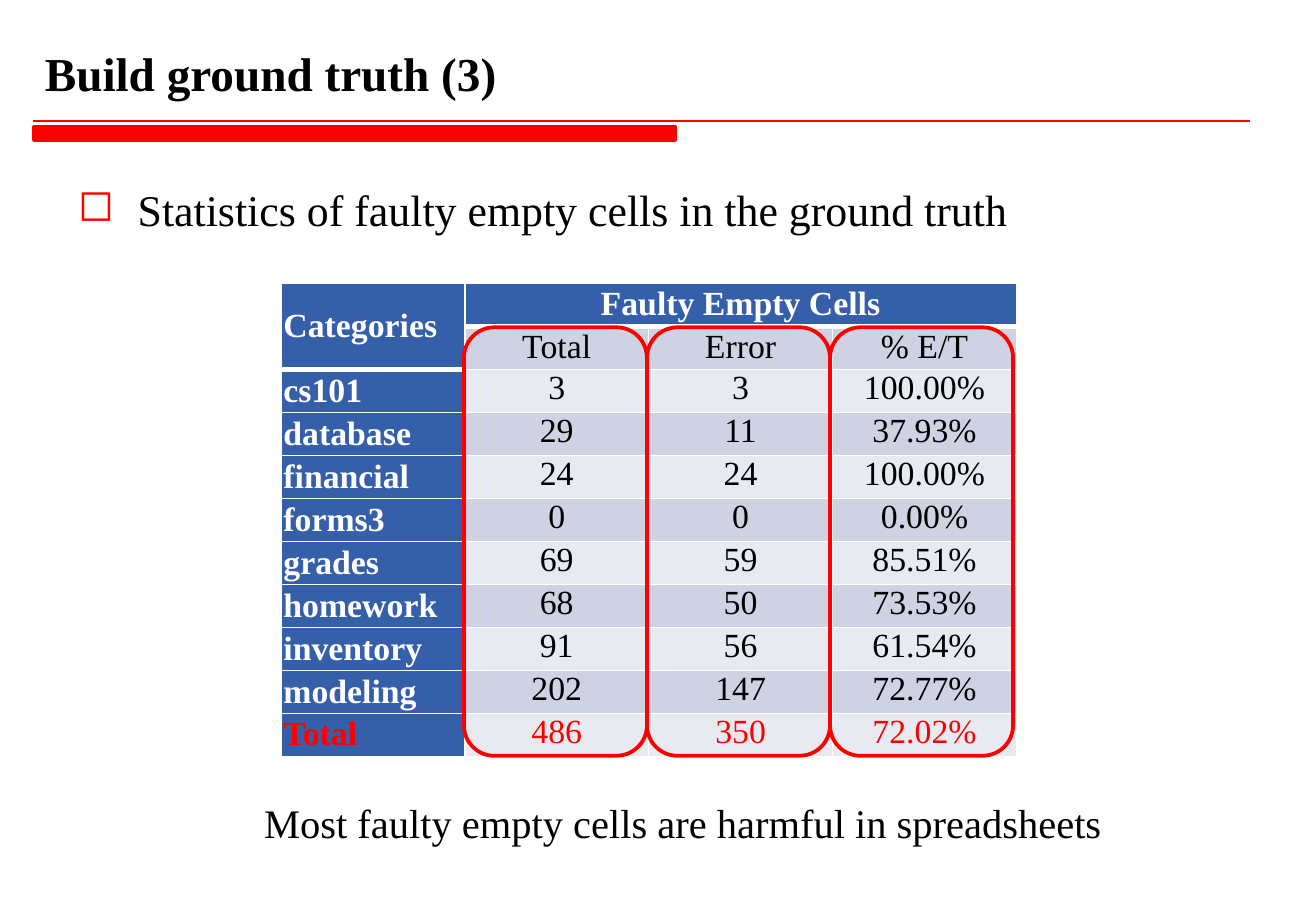
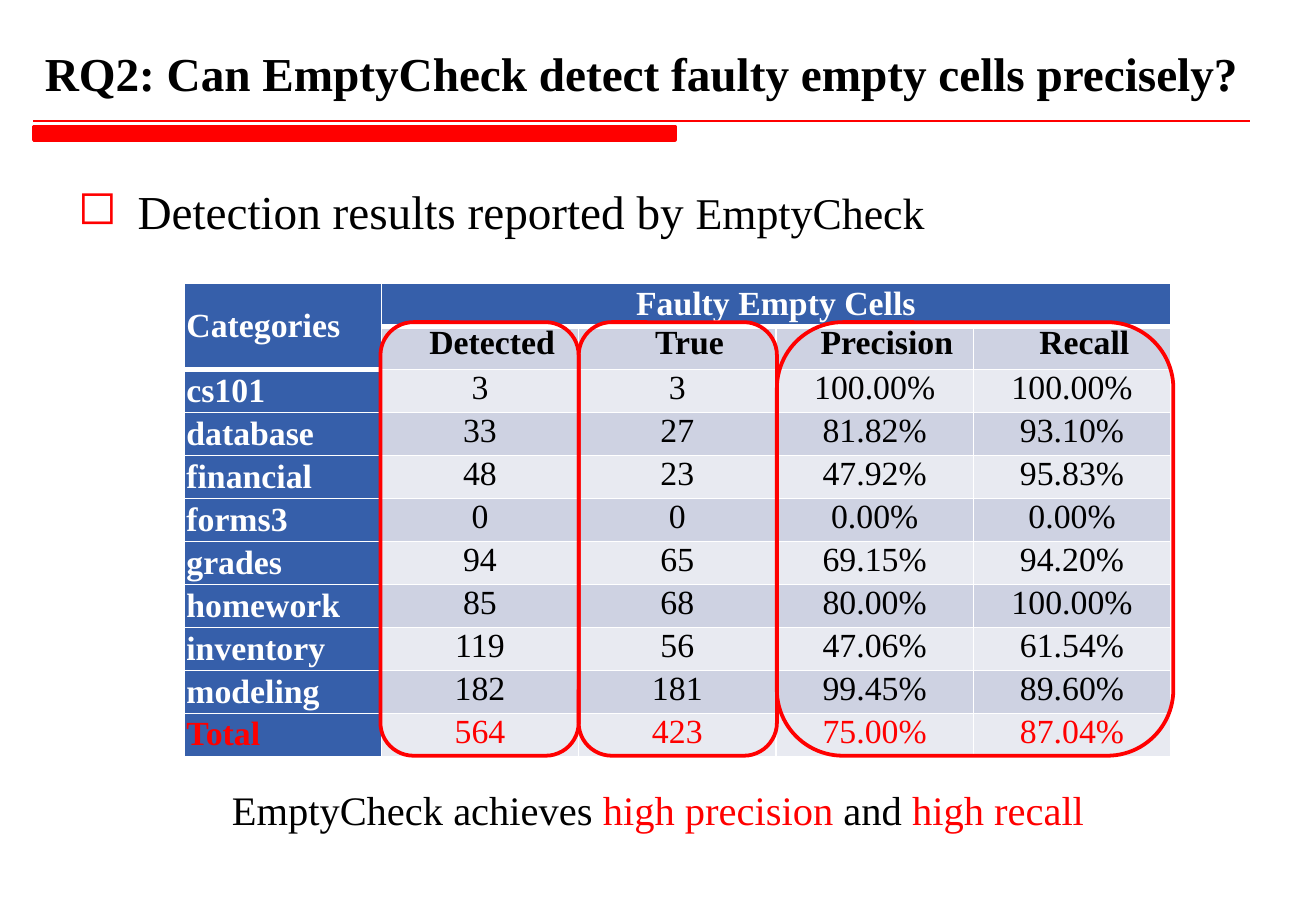
from dataclasses import dataclass

from lxml import etree
from pptx import Presentation
from pptx import util as u
from pptx.dml.color import RGBColor
from pptx.enum import shapes, text
from pptx.oxml import ns

Pt = u.Pt


@dataclass(frozen=True)
class Theme:
    font: str = "Times New Roman"
    ink: str = "000000"
    white: str = "FFFFFF"
    accent: str = "FF0000"
    header: str = "365FAA"
    band_dark: str = "CED2E2"
    band_light: str = "E8EAF1"
    title_size: float = 28
    body_size: float = 26
    caption_size: float = 24
    table_size: float = 20


def apply_formats(target, formats):
    for name, value in formats.items():
        setattr(target, name, value)


def add_xml(parent, tag, **attributes):
    return etree.SubElement(parent, ns.qn(tag), attributes)


class Deck:
    """Holds the theme, the presentation and the current slide."""

    def __init__(self, theme, width, height):
        self.theme = theme
        self.prs = Presentation()
        apply_formats(self.prs, {"slide_width": Pt(width), "slide_height": Pt(height)})
        self.slide = None

    def new_slide(self, title):
        self.slide = self.prs.slides.add_slide(self.prs.slide_layouts[6])
        self.title_rule()
        self.text_box((19.5, 21, 721.5, 41), [(title, {"bold": True})], self.theme.title_size,
                      {"vertical_anchor": text.MSO_ANCHOR.BOTTOM, "margin_bottom": Pt(2)})

    def title_rule(self):
        red = RGBColor.from_string(self.theme.accent)
        rule = self.slide.shapes.add_connector(
            shapes.MSO_CONNECTOR.STRAIGHT, Pt(19.5), Pt(71.5), Pt(741), Pt(71.5))
        rule.line.color.rgb = red
        rule.line.width = Pt(1.25)
        add_xml(rule._element.spPr, "a:effectLst")
        bar = self.outline(shapes.MSO_SHAPE.RECTANGLE, (20, 75, 380, 8), 2)
        bar.fill.solid()
        bar.fill.fore_color.rgb = red

    def outline(self, preset, box, weight):
        shape = self.slide.shapes.add_shape(preset, *map(Pt, box))
        shape.shadow.inherit = False
        shape.fill.background()
        shape.line.color.rgb = RGBColor.from_string(self.theme.accent)
        shape.line.width = Pt(weight)
        return shape

    def add_runs(self, paragraph, runs, size):
        """Add runs given as (wording, format values that differ)."""
        for wording, changes in runs:
            run = paragraph.add_run()
            run.text = wording
            formats = {"name": self.theme.font, "size": Pt(size), "bold": False, **changes}
            color = formats.pop("color", self.theme.ink)
            apply_formats(run.font, formats)
            run.font.color.rgb = RGBColor.from_string(color)

    def text_box(self, box, runs, size, frame_formats):
        frame = self.slide.shapes.add_textbox(*map(Pt, box)).text_frame
        apply_formats(frame, {"word_wrap": True, **frame_formats})
        self.add_runs(frame.paragraphs[0], runs, size)
        return frame.paragraphs[0]

    def bullet(self, runs):
        paragraph = self.text_box((39, 101, 702, 347), runs, self.theme.body_size,
                                  {"margin_top": Pt(7)})
        properties = paragraph._p.get_or_add_pPr()
        hanging = Pt(35.5)
        properties.set("marL", str(hanging))
        properties.set("indent", str(-hanging))
        add_xml(add_xml(properties, "a:buClr"), "a:srgbClr", val=self.theme.accent)
        add_xml(properties, "a:buChar", char="◻")

    def caption(self, box, runs):
        paragraph = self.text_box(box, runs, self.theme.caption_size,
                                  {"auto_size": text.MSO_AUTO_SIZE.SHAPE_TO_FIT_TEXT})
        paragraph.alignment = text.PP_ALIGN.CENTER

    def column_rings(self, left, top, step, height, spans):
        """Ring groups of columns; spans counts the columns in each group."""
        for span in spans:
            self.outline(shapes.MSO_SHAPE.ROUNDED_RECTANGLE,
                         (left, top, span * step, height), 2.25)
            left += span * step

    def borders(self, cell, top, bottom):
        properties = cell._tc.get_or_add_tcPr()
        sides = {"a:lnL": 1, "a:lnR": 1, "a:lnT": top, "a:lnB": bottom}
        for place, (tag, weight) in enumerate(sides.items()):
            line = etree.Element(ns.qn(tag), w=str(Pt(weight)))
            add_xml(add_xml(line, "a:solidFill"), "a:srgbClr", val=self.theme.white)
            properties.insert(place, line)

    def cell(self, cell, wording, fill, font, frame, centred=True, spacing=1.0):
        apply_formats(cell, {"margin_left": Pt(1.5), "margin_right": Pt(1.5),
                             "margin_top": 0, "margin_bottom": 0, **frame})
        cell.fill.solid()
        cell.fill.fore_color.rgb = RGBColor.from_string(fill)
        paragraph = cell.text_frame.paragraphs[0]
        apply_formats(paragraph, {
            "alignment": text.PP_ALIGN.CENTER if centred else text.PP_ALIGN.LEFT,
            "line_spacing": spacing})
        if wording:
            self.add_runs(paragraph, [(wording, font)], self.theme.table_size)

    def results_table(self, left, column_width, headings, values, heading_font, heading_frame):
        theme = self.theme
        middle = {"vertical_anchor": text.MSO_ANCHOR.MIDDLE}
        grid = [("Categories", "Faulty Empty Cells") + ("",) * (len(headings) - 1),
                ("",) + headings]
        grid += [(name,) + row for name, row in zip(CATEGORIES, values)]
        row_count, column_count = len(grid), len(grid[0])
        row_height = 25.5
        table = self.slide.shapes.add_table(
            row_count, column_count, Pt(left), Pt(168), Pt(column_width * column_count),
            Pt(row_height * row_count)).table
        for column in table.columns:
            column.width = Pt(column_width)
        for r, row in enumerate(grid):
            table.rows[r].height = Pt(row_height)
            for c, wording in enumerate(row):
                is_header = r == 0 or c == 0
                is_total = r == row_count - 1
                font, frame = {}, {}
                if is_header:
                    fill, frame = theme.header, middle
                    font = {"bold": True, "color": theme.white}
                else:
                    fill = theme.band_dark if r % 2 else theme.band_light
                    if r == 1:
                        font, frame = heading_font, heading_frame
                if is_total:
                    font = {**font, "color": theme.accent}
                cell = table.cell(r, c)
                self.cell(cell, wording, fill, font, frame, c > 0,
                          0.95 if r < 2 or (is_total and c == 0) else 1.0)
                # The thick line runs below the header cells
                under_header = r == (2 if c == 0 else 1)
                ends_header = r == 0 or (r == 1 and c == 0)
                self.borders(cell, 3 if under_header else 1, 3 if ends_header else 1)
        table.cell(0, 0).merge(table.cell(1, 0))
        table.cell(0, 1).merge(table.cell(0, column_count - 1))


CATEGORIES = ("cs101", "database", "financial", "forms3", "grades",
              "homework", "inventory", "modeling", "Total")
GROUND_TRUTH = [
    ("3", "3", "100.00%"),
    ("29", "11", "37.93%"),
    ("24", "24", "100.00%"),
    ("0", "0", "0.00%"),
    ("69", "59", "85.51%"),
    ("68", "50", "73.53%"),
    ("91", "56", "61.54%"),
    ("202", "147", "72.77%"),
    ("486", "350", "72.02%"),
]
DETECTION = [
    ("3", "3", "100.00%", "100.00%"),
    ("33", "27", "81.82%", "93.10%"),
    ("48", "23", "47.92%", "95.83%"),
    ("0", "0", "0.00%", "0.00%"),
    ("94", "65", "69.15%", "94.20%"),
    ("85", "68", "80.00%", "100.00%"),
    ("119", "56", "47.06%", "61.54%"),
    ("182", "181", "99.45%", "89.60%"),
    ("564", "423", "75.00%", "87.04%"),
]


def main():
    theme = Theme()
    deck = Deck(theme, 780, 540)

    # Ground truth statistics
    deck.new_slide("Build ground truth (3)")
    deck.bullet([("Statistics of faulty empty cells in the ground truth", {})])
    deck.results_table(166.5, 109, ("Total", "Error", "% E/T"), GROUND_TRUTH,
                       {}, {"vertical_anchor": text.MSO_ANCHOR.MIDDLE})
    deck.column_rings(275, 194, 108.5, 254, (1, 1, 1))
    deck.caption((79, 469.5, 651.5, 36),
                 [("Most faulty empty cells are harmful in spreadsheets", {})])

    # Detection results
    deck.new_slide("RQ2: Can EmptyCheck detect faulty empty cells precisely?")
    deck.bullet([("Detection results reported by ", {"size": Pt(theme.title_size)}),
                 ("EmptyCheck", {})])
    deck.results_table(109, 117, ("Detected", "True", "Precision", "Recall"), DETECTION,
                       {"bold": True}, {"margin_left": Pt(16)})
    deck.column_rings(225.5, 191, 117.5, 257, (1, 1, 2))
    highlight = {"color": theme.accent}
    deck.caption((0, 461.5, 780, 36),
                 [("EmptyCheck achieves ", {}), ("high precision", highlight),
                  (" and ", {}), ("high recall", highlight)])

    deck.prs.save("out.pptx")


if __name__ == "__main__":
    main()
